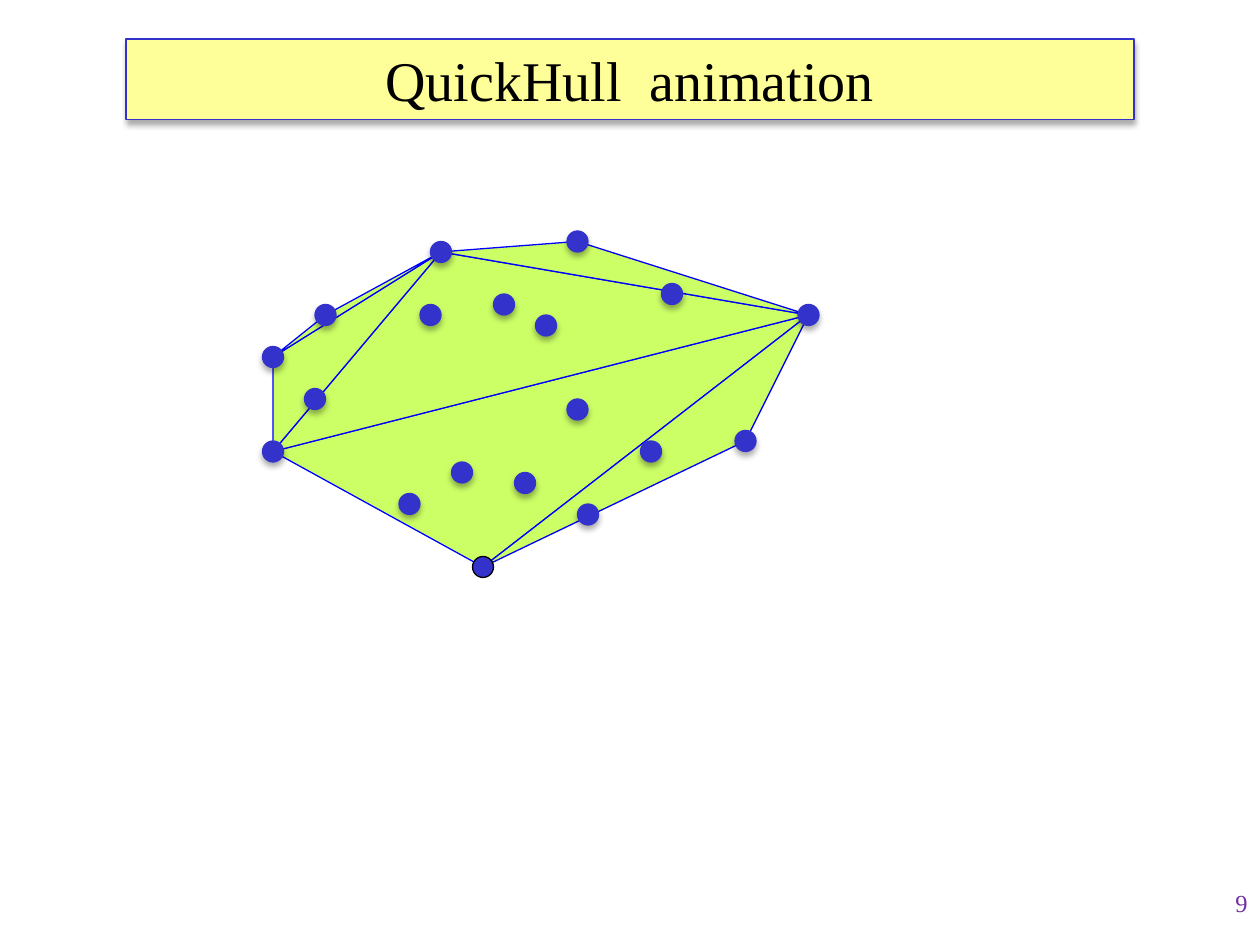
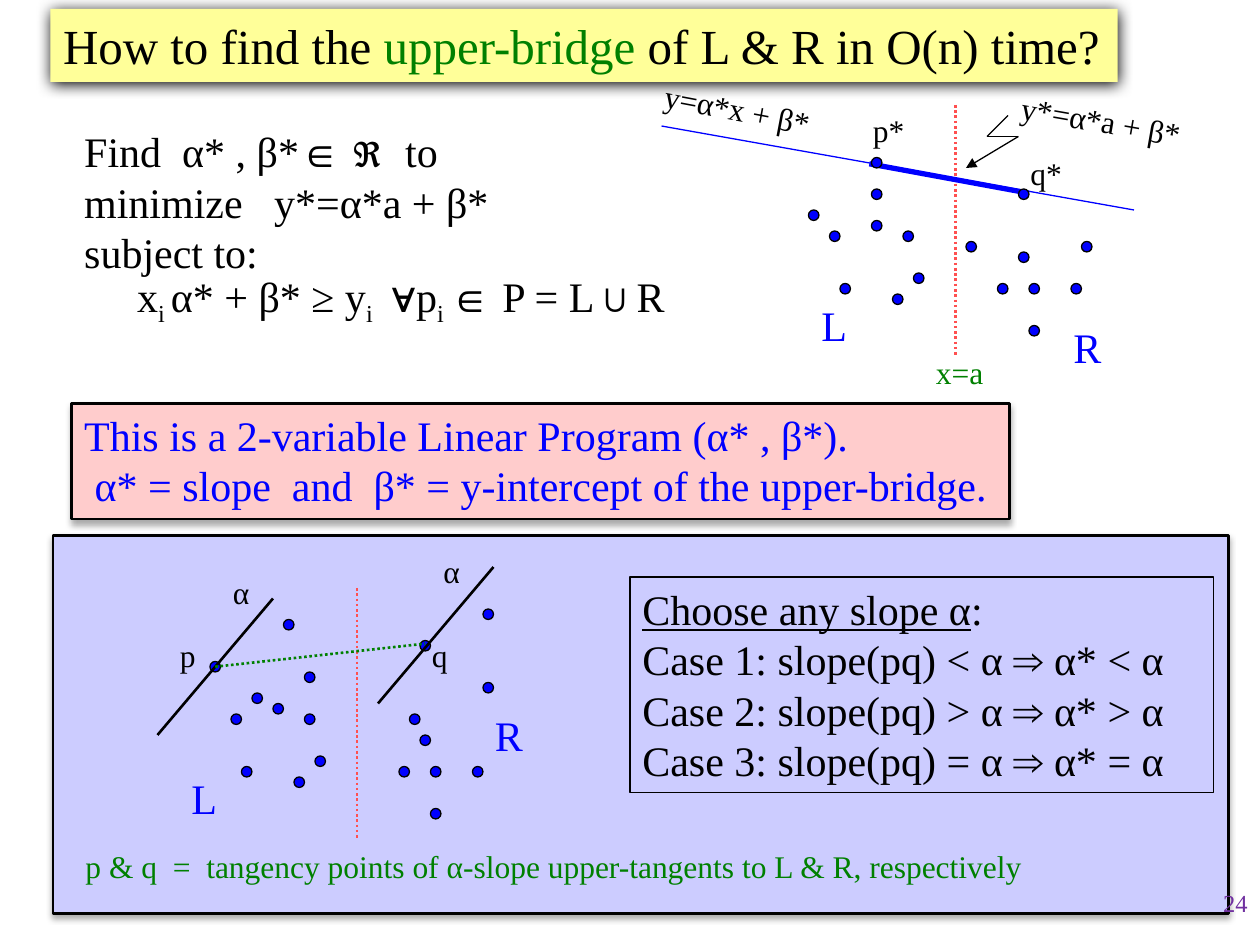
from lxml import etree
from pptx import Presentation
from pptx import util as u
from pptx.dml.color import RGBColor
from pptx.enum import dml, shapes, text
from pptx.oxml.ns import qn

FONT = "Times New Roman"
BLACK, BLUE, GREEN, RED, PURPLE = "000000", "0000FF", "008000", "FF5050", "7030A0"
INDIGO, YELLOW, LIME, PINK, LILAC = "3333CC", "FFFF99", "CCFF66", "FFCCCC", "CCCCFF"
SOFT_SHADOW = {"alpha": 32, "blur": 3.5, "distance": 2.2}
TITLE_GLOW = {"alpha": 100, "blur": 8.5, "distance": 1}
TITLE_ONLY = 5
SUB = {"baseline": "-25000"}


def rgb(value):
    return RGBColor.from_string(value)


def grid(cells):
    """Turn twelfths of an inch into a length."""
    return u.Inches(cells / 12)


class Deck:
    def __init__(self):
        self.presentation = Presentation()
        self.presentation.slide_width = u.Inches(10)
        self.presentation.slide_height = u.Inches(7.5)
        self.slide = self.canvas = None

    def new_slide(self, number):
        layout = self.presentation.slide_layouts[TITLE_ONLY]
        self.slide = self.presentation.slides.add_slide(layout)
        self.canvas = self.slide.shapes
        self.label(number, (7.92, 7, 2.08, 0.5), 14, PURPLE, align=text.PP_ALIGN.RIGHT)

    def new_group(self):
        """Collect the elements that follow in a group."""
        self.canvas = self.slide.shapes.add_group_shape().shapes

    def style(self, shape, fill=None, line=None, width=0.75, shadow=None):
        shape.shadow.inherit = False
        if fill:
            shape.fill.solid()
            shape.fill.fore_color.rgb = rgb(fill)
        else:
            shape.fill.background()
        if line:
            shape.line.color.rgb = rgb(line)
            shape.line.width = u.Pt(width)
        else:
            shape.line.fill.background()
        if shadow:
            effects = shape._element.spPr.find(qn("a:effectLst"))
            outer = etree.SubElement(
                effects, qn("a:outerShdw"), blurRad=str(u.Pt(shadow["blur"])),
                dist=str(u.Pt(shadow["distance"])), dir="5400000", rotWithShape="0")
            color = etree.SubElement(outer, qn("a:srgbClr"), val=BLACK)
            etree.SubElement(color, qn("a:alpha"), val=str(shadow["alpha"] * 1000))

    def set_text(self, shape, paragraphs, size, color, align=text.PP_ALIGN.LEFT, wrap=False,
                 anchor=text.MSO_ANCHOR.TOP):
        """Fill a shape with paragraphs, each a string or a list of (text, formats) runs."""
        frame = shape.text_frame
        settings = {"auto_size": text.MSO_AUTO_SIZE.NONE, "word_wrap": wrap,
                    "vertical_anchor": anchor}
        for name, value in settings.items():
            setattr(frame, name, value)
        for index, content in enumerate(paragraphs):
            paragraph = frame.add_paragraph() if index else frame.paragraphs[0]
            paragraph.alignment = align
            if len(paragraphs) > 1:
                paragraph.line_spacing = u.Pt(1.2 * size)
            for words, extra in [(content, {})] if isinstance(content, str) else content:
                run = paragraph.add_run()
                run.text = words
                formats = {"name": FONT, "size": u.Pt(size),
                           "underline": extra.get("underline", False)}
                for name, value in formats.items():
                    setattr(run.font, name, value)
                run.font.color.rgb = rgb(extra.get("color", color))
                if "baseline" in extra:
                    run.font._element.set("baseline", extra["baseline"])

    def title(self, content, box, size, align, line, shadow):
        title = self.slide.shapes.title
        for name, value in zip(("left", "top", "width", "height"), box):
            setattr(title, name, u.Inches(value))
        self.style(title, YELLOW, line, shadow=shadow)
        self.set_text(title, [content], size, BLACK, align, anchor=text.MSO_ANCHOR.MIDDLE)

    def label(self, words, box, size=18, color=BLACK, rotation=0, **options):
        label = self.canvas.add_textbox(*map(u.Inches, box))
        label.rotation = rotation
        paragraphs = [words] if isinstance(words, str) else words
        self.set_text(label, paragraphs, size, color, **options)
        return label

    def panel(self, box, paragraphs=(), color=BLACK, **look):
        panel = self.canvas.add_shape(shapes.MSO_SHAPE.RECTANGLE, *map(u.Inches, box))
        self.style(panel, **look)
        if paragraphs:
            self.set_text(panel, paragraphs, 24, color)

    def dots(self, cells, size=1, fill=BLUE, line=BLACK, shadow=None):
        """Draw dots by their top left corners, in twelfths of an inch."""
        for x, y in cells:
            dot = self.canvas.add_shape(
                shapes.MSO_SHAPE.OVAL, grid(x), grid(y), grid(size), grid(size))
            self.style(dot, fill, line, shadow=shadow)

    def polygon(self, points):
        start, *others = [(grid(x), grid(y)) for x, y in points]
        builder = self.canvas.build_freeform(*start)
        builder.add_line_segments(others, close=True)
        self.style(builder.convert_to_shape(), LIME, BLUE)

    def line(self, start, end, color=BLACK, width=0.75, dotted=False, arrow=False):
        """Join two points given in twelfths of an inch."""
        line = self.canvas.add_connector(
            shapes.MSO_CONNECTOR.STRAIGHT, *map(grid, (*start, *end)))
        line.line.color.rgb = rgb(color)
        line.line.width = u.Pt(width)
        if dotted:
            line.line.dash_style = dml.MSO_LINE.ROUND_DOT
        properties = line._element.spPr
        if arrow:
            etree.SubElement(properties.find(qn("a:ln")), qn("a:tailEnd"), type="triangle")
        etree.SubElement(properties, qn("a:effectLst"))

    def separator(self, x, top):
        self.line((x, top), (x, top + 24), RED, 1.5, dotted=True)


def quickhull_slide(deck):
    deck.new_slide("9")
    deck.title("QuickHull  animation", (1, 0.31, 8, 0.64), 32, text.PP_ALIGN.CENTER,
               INDIGO, SOFT_SHADOW)
    west, south, southeast, east = (26, 43), (46, 54), (71, 42), (77, 30)
    north, peak, northwest, shoulder = (55, 23), (42, 24), (26, 34), (31, 30)
    for triangle in [(west, south, east), (south, southeast, east), (west, east, peak),
                     (east, peak, north), (peak, west, northwest),
                     (northwest, peak, shoulder)]:
        deck.polygon(triangle)
    inner = [(41, 30), (52, 31), (48, 29), (64, 28), (62, 43), (50, 46), (39, 48),
             (56, 49), (44, 45), (55, 39), (30, 38)]
    outer = [west, southeast, east, north, peak, northwest, shoulder]
    deck.dots([(x - 1, y - 1) for x, y in inner + outer], 2, INDIGO, INDIGO, SOFT_SHADOW)
    deck.dots([(south[0] - 1, south[1] - 1)], 2, INDIGO)


def bridge_figure(deck):
    deck.new_group()
    program = deck.label(
        ["Find  α* , β*∈ ℜ  to", "minimize   y*=α*a + β*", "subject to:",
         [("x", {}), ("i ", SUB), ("α* + β* ≥ y", {}), ("i   ", SUB), ("∀p", {}),
          ("i ", SUB), ("∈ P = L∪R", {})]],
        (0.57, 0.95, 4.93, 1.7), 24, wrap=True)
    constraint = program.text_frame.paragraphs[-1]
    constraint._p.get_or_add_pPr().set("indent", str(u.Inches(0.42)))

    deck.separator(91, 10)
    deck.line((63, 12), (108, 20), BLUE)
    deck.line((82.8, 15.6), (98, 18.4), BLUE, 3)
    deck.dots([(83, 15), (83, 18), (83, 21), (98, 27), (87, 26), (97, 24), (102, 27),
               (103, 23), (98, 31), (97, 18), (77, 20), (79, 22), (86, 22), (80, 27),
               (85, 28), (92, 23), (95, 27)])
    deck.label("x=a", (7.33, 2.75, 0.58, 0.4), color=GREEN)
    deck.label("y=α*x + β*", (5.17, 0.67, 1.4, 0.4), rotation=10.7)
    deck.label("y*=α*a + β*", (8, 0.76, 1.51, 0.4), rotation=9.9)
    zigzag = [(96, 11), (94, 13), (97, 13), (92, 16)]
    for start, end in zip(zigzag, zigzag[1:]):
        deck.line(start, end, arrow=end == zigzag[-1])
    deck.label("p*", (6.83, 0.83, 0.45, 0.4))
    deck.label("q*", (8.08, 1.17, 0.45, 0.4))
    deck.label("L", (6.42, 2.33, 0.4, 0.5), 24, BLUE)
    deck.label("R", (8.42, 2.5, 0.42, 0.5), 24, BLUE)


def slope_figure(deck):
    deck.new_group()
    deck.panel((0.42, 4.25, 9.33, 3), fill=LILAC, line=BLACK, width=1.5, shadow=SOFT_SHADOW)
    cases = [f"Case {number}: slope(pq) {sign} α ⇒ α* {sign} α"
             for number, sign in enumerate("<>=", 1)]
    heading = [("Choose any slope α", {"underline": True}), (":", {})]
    deck.panel((5, 4.58, 4.63, 1.71), [heading, *cases], line=BLACK)
    deck.separator(34, 56)
    deck.dots([(29, 64), (24, 66), (26, 67), (41, 73), (30, 72), (40, 70), (45, 73),
               (46, 65), (41, 77), (40, 61), (20, 63), (22, 68), (29, 68), (23, 73),
               (28, 74), (39, 68), (38, 73), (46, 58), (27, 59)])
    deck.label("p", (1.33, 5, 0.33, 0.4))
    deck.label("q", (3.33, 5, 0.33, 0.4))
    deck.label("L", (1.42, 6.08, 0.4, 0.5), 24, BLUE)
    deck.label("R", (3.83, 5.58, 0.42, 0.5), 24, BLUE)
    for x, y in [(15, 70), (36, 67)]:
        deck.line((x, y), (x + 11, y - 13), width=1.5)
    deck.line((20.5, 63.5), (40.5, 61.3), GREEN, 1.5, dotted=True)
    deck.label("α", (1.75, 4.5, 0.36, 0.4))
    deck.label("α", (3.42, 4.33, 0.36, 0.4))
    deck.label("p & q  =  tangency points of α-slope upper-tangents to L & R, respectively",
               (0.58, 6.67, 7.66, 0.4), color=GREEN)


def upper_bridge_slide(deck):
    deck.new_slide("24")
    number = deck.slide.shapes[-1]
    deck.title([("How to find the ", {}), ("upper-bridge", {"color": GREEN}),
                (" of L & R in O(n) time?", {})],
               (0.4, 0.07, 8.47, 0.58), 28, text.PP_ALIGN.LEFT, None, TITLE_GLOW)
    bridge_figure(deck)
    deck.canvas = deck.slide.shapes
    deck.panel((0.57, 3.2, 7.44, 0.92),
               ["This is a 2-variable Linear Program (α* , β*).",
                " α* = slope  and  β* = y-intercept of the upper-bridge."],
               BLUE, fill=PINK, line=BLACK, width=1.5, shadow=SOFT_SHADOW)
    slope_figure(deck)
    # The page number overlaps the lower panel, so it goes to the front.
    deck.slide.shapes._spTree.append(number._element)


def main():
    deck = Deck()
    quickhull_slide(deck)
    upper_bridge_slide(deck)
    deck.presentation.save("out.pptx")


if __name__ == "__main__":
    main()
